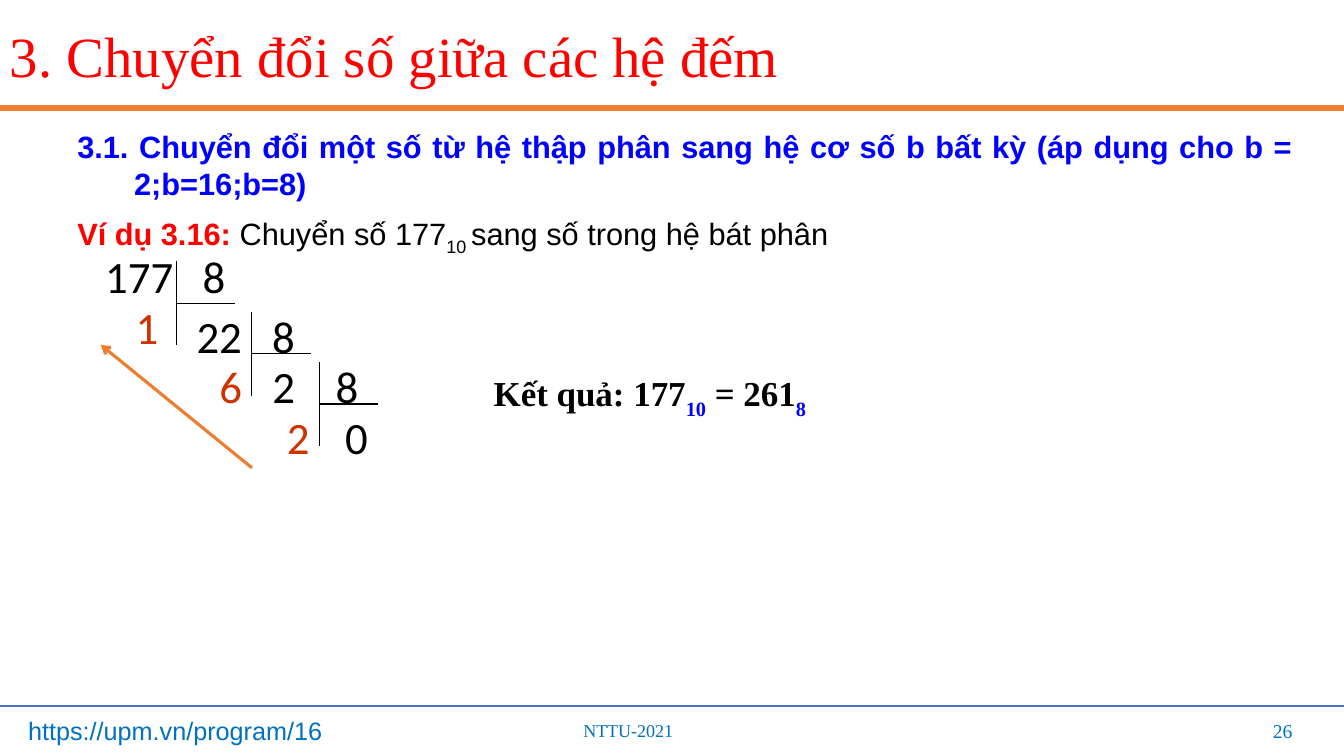
import pptx
import pptx.dml.color
import pptx.enum.shapes
import pptx.enum.text
import pptx.oxml.xmlchemy
import pptx.util

Cm = pptx.util.Cm
Pt = pptx.util.Pt
ALIGN = pptx.enum.text.PP_ALIGN
MIDDLE = pptx.enum.text.MSO_ANCHOR.MIDDLE
BLACK, RED, BLUE = "000000", "FF0000", "0000FF"
ORANGE, FOOTER, REMAINDER = "ED7D31", "0070C0", "CC3300"
SERIF = "Times New Roman"


def colour(code):
    """Turn a hex string into a colour."""
    return pptx.dml.color.RGBColor.from_string(code)


def add_box(page, left, top, width, height, anchor=None):
    """Add a wrapping text box and return its text frame."""
    frame = page.shapes.add_textbox(Cm(left), Cm(top), Cm(width), Cm(height)).text_frame
    frame.word_wrap = True
    if anchor is not None:
        frame.vertical_anchor = anchor
    return frame


def add_span(para, text, size, font, code, bold=False, baseline=0):
    """Append one run, lowered by a percentage if baseline is negative."""
    span = para.add_run()
    span.text = text
    span.font.size = Pt(size)
    span.font.name = font
    span.font.bold = bold
    span.font.color.rgb = colour(code)
    if baseline:
        span._r.get_or_add_rPr().set("baseline", str(baseline * 1000))


def add_label(page, place, text, size, font, code, align=ALIGN.LEFT, anchor=None):
    """Add a text box holding a single run and return its paragraph."""
    para = add_box(page, *place, anchor).paragraphs[0]
    para.alignment = align
    add_span(para, text, size, font, code)
    return para


def add_line(page, start, end, code, width, arrow=False):
    """Draw a straight line, with an arrowhead at its end on request."""
    line = page.shapes.add_connector(
        pptx.enum.shapes.MSO_CONNECTOR.STRAIGHT, *map(Cm, start + end))
    line.line.color.rgb = colour(code)
    line.line.width = Pt(width)
    if arrow:
        head = pptx.oxml.xmlchemy.OxmlElement("a:tailEnd")
        head.set("type", "arrow")
        line.line._get_or_add_ln().append(head)
    line._element.spPr.append(pptx.oxml.xmlchemy.OxmlElement("a:effectLst"))


def add_number(page, left, top, width, text, code=BLACK, align=ALIGN.RIGHT):
    """Write one number of the long division."""
    add_label(page, (left, top, width, 1.6), text, 32, "Calibri", code, align)


def add_division(page):
    """Draw the repeated division by 8 and the reading direction."""
    for step, (bar, divisor) in enumerate([(4.45, 4.45), (6.35, 6.2), (8.05, 7.8)]):
        top = 6.58 + 1.27 * step
        add_line(page, (bar, top), (bar, top + 2.12), BLACK, 0.75)
        add_line(page, (bar, top + 1.06), (bar + 1.48, top + 1.06), BLACK, 0.75)
        shift = 0.43 if step == 0 else 0.2
        add_number(page, divisor, top - shift, 1.48, "8")
    add_number(page, 2.24, 6.15, 2.38, "177")
    add_number(page, 4.45, 7.65, 1.9, "22")
    add_number(page, 6.3, 8.92, 1.7, "2", align=ALIGN.CENTER)
    add_number(page, 7.82, 10.19, 1.7, "0")
    for left, top, digit in [(2.97, 7.42, "1"), (5.08, 8.92, "6"), (6.78, 10.19, "2")]:
        add_number(page, left, top, 1.27, digit, REMAINDER)
    add_line(page, (6.35, 11.79), (2.54, 8.69), ORANGE, 2.25, arrow=True)


def add_task(page):
    """Write the section heading and the example."""
    frame = add_box(page, 1.7, 3.1, 31.14, 14.48)
    heading = frame.paragraphs[0]
    heading.alignment = ALIGN.JUSTIFY
    indent = heading._p.get_or_add_pPr()
    indent.set("marL", str(Cm(1.43)))
    indent.set("indent", str(Cm(-1.43)))
    add_span(heading, "3.1. Chuyển đổi một số từ hệ thập phân sang hệ cơ số b bất kỳ "
             "(áp dụng cho b = 2;b=16;b=8)", 22, "Arial", BLUE, True)
    example = frame.add_paragraph()
    example.space_before = Pt(9.2)
    add_span(example, "Ví dụ 3.16: ", 22, "Arial", RED, True)
    add_span(example, "Chuyển số 177", 22, "Arial", BLACK)
    add_span(example, "10 ", 22, "Arial", BLACK, baseline=-25)
    add_span(example, "sang số trong hệ bát phân", 22, "Arial", BLACK)


def add_result(page):
    """Write the converted number with its base subscripts."""
    para = add_box(page, 12.19, 9.32, 9.6, 1.32, MIDDLE).paragraphs[0]
    for number, base in [("Kết quả: 177", "10"), (" = 261", "8")]:
        add_span(para, number, 25, SERIF, BLACK, True)
        add_span(para, base, 25, SERIF, BLUE, True, -30)


def main():
    """Build the slide and save it."""
    deck = pptx.Presentation()
    deck.slide_width, deck.slide_height = Cm(33.87), Cm(19.05)
    page = deck.slides.add_slide(deck.slide_layouts[6])
    add_line(page, (0, 2.72), (33.87, 2.72), ORANGE, 4.5)
    add_line(page, (0, 17.8), (33.87, 17.8), "4472C4", 1.5)
    title = add_label(page, (0, 0.08, 33.87, 2.8), "3. Chuyển đổi số giữa các hệ đếm",
                      40.6, SERIF, RED, anchor=MIDDLE)
    title.line_spacing = 0.9
    add_task(page)
    add_division(page)
    add_result(page)
    add_label(page, (0.46, 17.9, 8.71, 1.02), "https://upm.vn/program/16", 18, "Arial", FOOTER)
    add_label(page, (14.45, 18, 4.52, 0.81), "NTTU-2021", 12.9, SERIF, FOOTER)
    add_label(page, (25.2, 17.9, 7.62, 1.02), "26", 14, SERIF, FOOTER, ALIGN.RIGHT, MIDDLE)
    deck.save("out.pptx")


if __name__ == "__main__":
    main()
